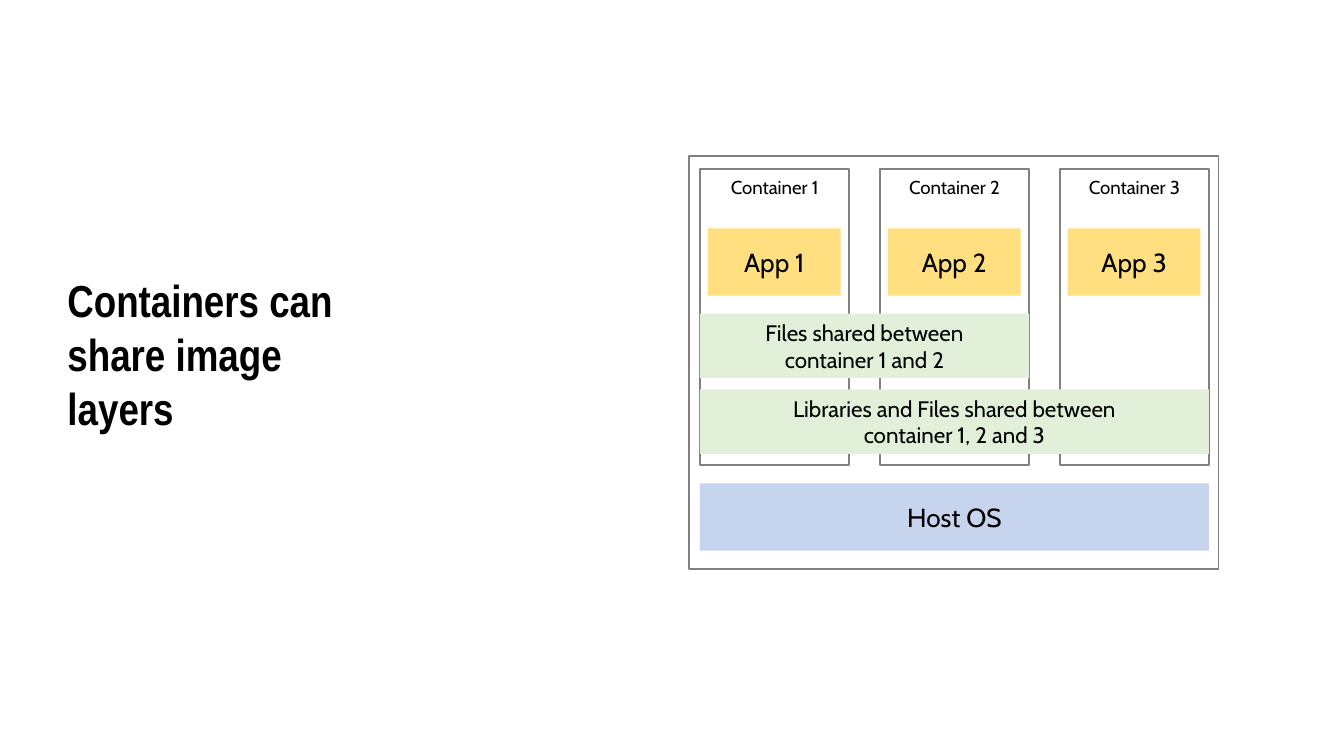
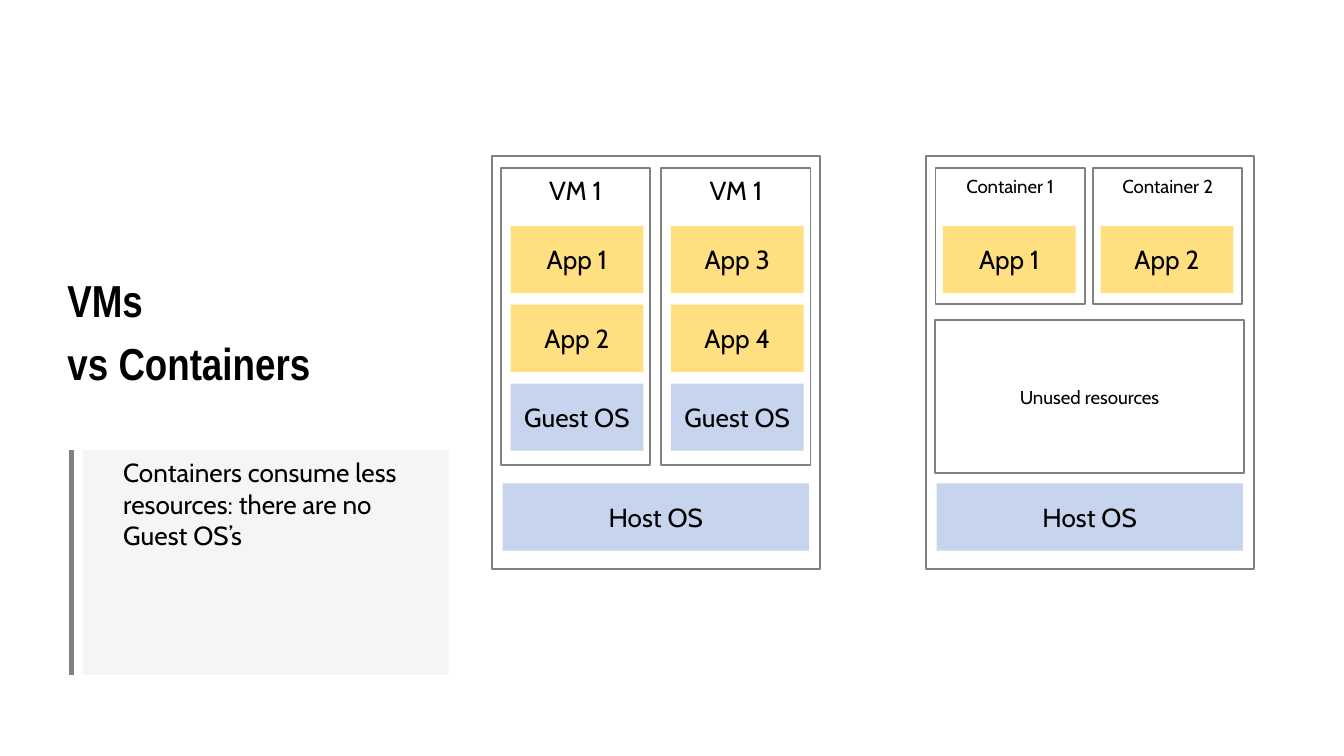
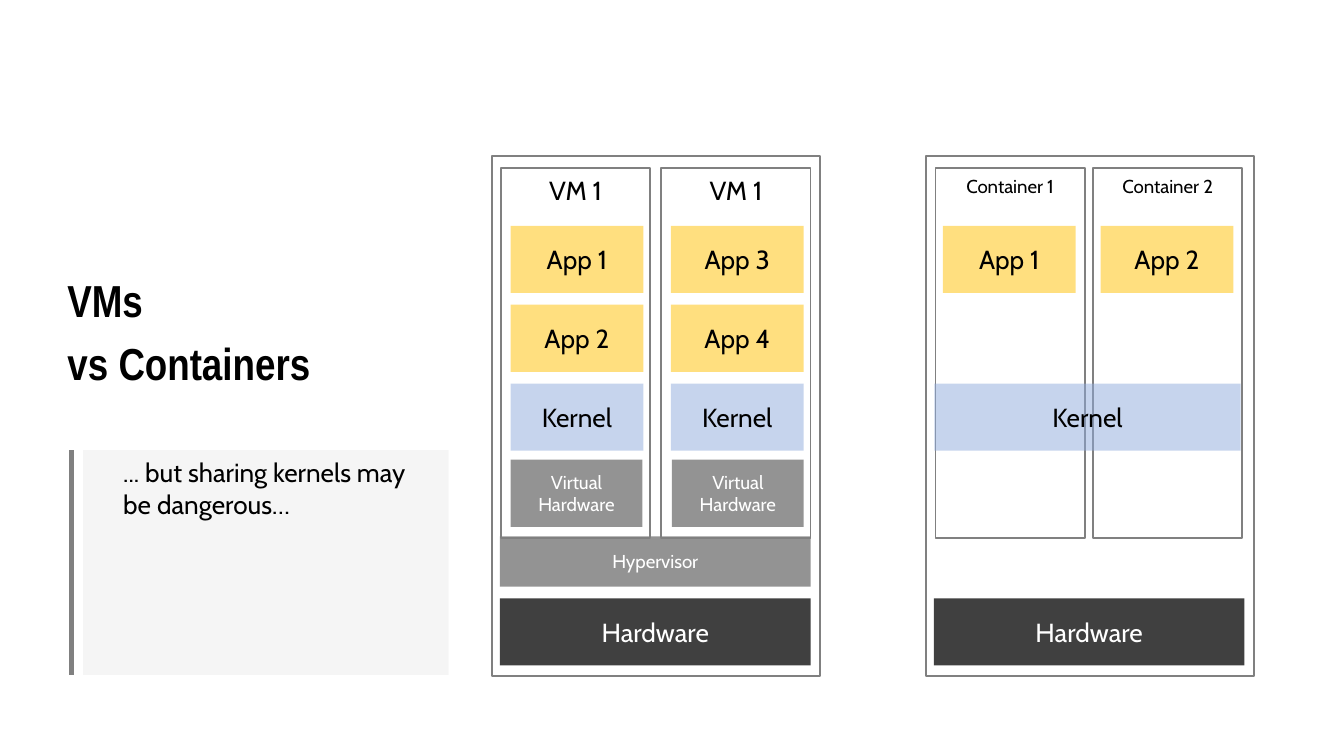
from lxml import etree
from pptx import Presentation
from pptx import util as u
from pptx.dml.color import RGBColor
from pptx.enum import shapes, text
from pptx.oxml.ns import qn

COLOURS = {
    "black": "000000",
    "white": "FFFFFF",
    "outline": "808080",
    "app": "FFC000",
    "system": "8FAADC",
    "shared": "E2F0D9",
    "dark": "404040",
    "note": "EDEDED",
}
TITLE_FONT, BODY_FONT = "Arial Narrow", "Cabin"

# Block style: fill, opacity in percent, font colour, font size
STYLES = {
    "app": ("app", 50, "black", 14),
    "system": ("system", 50, "black", 14),
    "shared": ("shared", 100, "black", 12),
    "virtual": ("dark", 56, "white", 10),
    "hardware": ("dark", 100, "white", 14),
}

# Common measures in centimetres
BLOCK_W, BLOCK_H = 2.51, 1.27
UNIT_W = 2.82
FRAME_TOP, UNIT_TOP = 2.95, 3.18
ROW_TOP, ROW_STEP = 4.27, 1.49
HOST_TOP, HARDWARE_TOP = 9.14, 11.31
VM_LEFT, CONTAINER_LEFT = 9.3, 17.5


def colour(name):
    return RGBColor.from_string(COLOURS[name])


def style_paragraphs(frame, font_name, size, font_colour, alignment, bold=False):
    for paragraph in frame.paragraphs:
        paragraph.alignment = alignment
        paragraph.font.name = font_name
        paragraph.font.size = u.Pt(size)
        paragraph.font.bold = bold
        paragraph.font.color.rgb = colour(font_colour)


def add_title(slide, wording):
    title = slide.shapes.title
    title.left, title.top = u.Cm(1.02), u.Cm(5.03)
    title.width, title.height = u.Cm(6.68), u.Cm(3.38)
    frame = title.text_frame
    frame.text = wording
    frame.word_wrap = True
    frame.auto_size = text.MSO_AUTO_SIZE.NONE
    frame.vertical_anchor = text.MSO_ANCHOR.TOP
    style_paragraphs(frame, TITLE_FONT, 24, "black", text.PP_ALIGN.LEFT, bold=True)
    for paragraph in frame.paragraphs[1:]:
        paragraph.space_before = u.Pt(4.8)


def add_rectangle(slide, left, top, width, height, fill=None, opacity=100):
    """Draw a filled box without a line, or an outline when no fill is given."""
    shape = slide.shapes.add_shape(
        shapes.MSO_SHAPE.RECTANGLE, u.Cm(left), u.Cm(top), u.Cm(width), u.Cm(height))
    shape.shadow.inherit = False
    if fill is None:
        shape.fill.background()
        shape.line.color.rgb = colour("outline")
        shape.line.width = u.Pt(1)
        return shape
    shape.line.fill.background()
    shape.fill.solid()
    shape.fill.fore_color.rgb = colour(fill)
    if opacity < 100:
        tint = shape._element.spPr.find(qn("a:solidFill"))[0]
        etree.SubElement(tint, qn("a:alpha")).set("val", str(opacity * 1000))
    return shape


def add_wording(shape, wording, size, font_colour="black",
                anchor=text.MSO_ANCHOR.MIDDLE, alignment=text.PP_ALIGN.CENTER):
    frame = shape.text_frame
    frame.text = wording
    frame.word_wrap = True
    frame.vertical_anchor = anchor
    style_paragraphs(frame, BODY_FONT, size, font_colour, alignment)


def add_block(slide, style, wording, left, top, width=BLOCK_W, height=BLOCK_H):
    fill, opacity, font_colour, size = STYLES[style]
    shape = add_rectangle(slide, left, top, width, height, fill, opacity)
    shape.text_frame.margin_left = shape.text_frame.margin_right = u.Cm(0.15)
    add_wording(shape, wording, size, font_colour)


def add_unit(slide, label, left, height, size, blocks, inset, top=UNIT_TOP):
    """Draw a VM or container outline with its stack of (style, wording) blocks."""
    shape = add_rectangle(slide, left, top, UNIT_W, height)
    add_wording(shape, label, size, anchor=text.MSO_ANCHOR.TOP)
    for row, (style, wording) in enumerate(blocks):
        add_block(slide, style, wording, left + inset, ROW_TOP + row * ROW_STEP)


def add_note(slide, wording):
    left, top, height, bar = 1.57, 8.51, 4.25, 1.35
    shape = add_rectangle(slide, left, top, 6.91, height, "note", 50)
    add_wording(shape, wording, 14, anchor=text.MSO_ANCHOR.TOP,
                alignment=text.PP_ALIGN.LEFT)
    properties = shape.text_frame.paragraphs[0]._p.get_or_add_pPr()
    properties.set("marL", str(u.Cm(0.51)))
    properties.set("indent", "0")
    line = slide.shapes.add_connector(
        shapes.MSO_CONNECTOR.STRAIGHT,
        u.Cm(bar), u.Cm(top), u.Cm(bar), u.Cm(top + height))
    line.line.color.rgb = colour("outline")
    line.line.width = u.Pt(2.75)
    etree.SubElement(line._element.spPr, qn("a:effectLst"))


def add_vms(slide, height, system):
    for column in range(2):
        apps = [("app", f"App {column * 2 + row}") for row in (1, 2)]
        add_unit(slide, "VM 1", VM_LEFT + 0.17 + column * 3.03, height, 14,
                 apps + [("system", system)], 0.18)


def add_containers(slide, height):
    for column in range(2):
        add_unit(slide, f"Container {column + 1}", CONTAINER_LEFT + 0.18 + column * 2.98,
                 height, 10, [("app", f"App {column + 1}")], 0.14)


def shared_layers_slide(slide):
    add_title(slide, "Containers can share image layers")
    left, step, full = 13.23, 3.4, 9.62
    add_rectangle(slide, 13.03, FRAME_TOP, 10, 7.8)
    for column in range(3):
        add_unit(slide, f"Container {column + 1}", left + column * step, 5.59, 10, [], 0,
                 top=3.2)
        add_block(slide, "app", f"App {column + 1}", left + 0.15 + column * step, 4.32)
    add_block(slide, "shared", "Files shared between\ncontainer 1 and 2",
              left, 5.93, step + UNIT_W, 1.22)
    add_block(slide, "shared", "Libraries and Files shared between\ncontainer 1, 2 and 3",
              left, 7.36, full, 1.22)
    add_block(slide, "system", "Host OS", left, HOST_TOP, full)


def resources_slide(slide):
    add_title(slide, "VMs\nvs Containers")
    add_vms(slide, 5.61, "Guest OS")
    add_containers(slide, 2.57)
    for left in (VM_LEFT, CONTAINER_LEFT):
        add_rectangle(slide, left, FRAME_TOP, 6.2, 7.8)
        add_block(slide, "system", "Host OS", left + 0.2, HOST_TOP, 5.79)
    unused = add_rectangle(slide, CONTAINER_LEFT + 0.17, 6.05, 5.84, 2.9)
    add_wording(unused, "Unused resources", 10)
    add_note(slide, "Containers consume less resources: there are no Guest OS’s")


def kernels_slide(slide):
    add_title(slide, "VMs\nvs Containers")
    add_block(slide, "virtual", "Hypervisor", VM_LEFT + 0.15, 10.14, 5.87, 0.95)
    add_vms(slide, 6.99, "Kernel")
    for column in range(2):
        add_block(slide, "virtual", "Virtual Hardware",
                  VM_LEFT + 0.35 + column * 3.05, 8.69, 2.49)
    add_containers(slide, 6.99)
    add_block(slide, "system", "Kernel", CONTAINER_LEFT + 0.16, ROW_TOP + 2 * ROW_STEP, 5.79)
    for left in (VM_LEFT, CONTAINER_LEFT):
        add_rectangle(slide, left, FRAME_TOP, 6.2, 9.83)
        add_block(slide, "hardware", "Hardware", left + 0.15, HARDWARE_TOP, 5.87)
    add_note(slide, "... but sharing kernels may be dangerous…")


def main():
    presentation = Presentation()
    presentation.slide_width, presentation.slide_height = u.Cm(25.4), u.Cm(14.29)
    title_only = presentation.slide_layouts[5]
    for build in (shared_layers_slide, resources_slide, kernels_slide):
        build(presentation.slides.add_slide(title_only))
    presentation.save("out.pptx")


if __name__ == "__main__":
    main()
